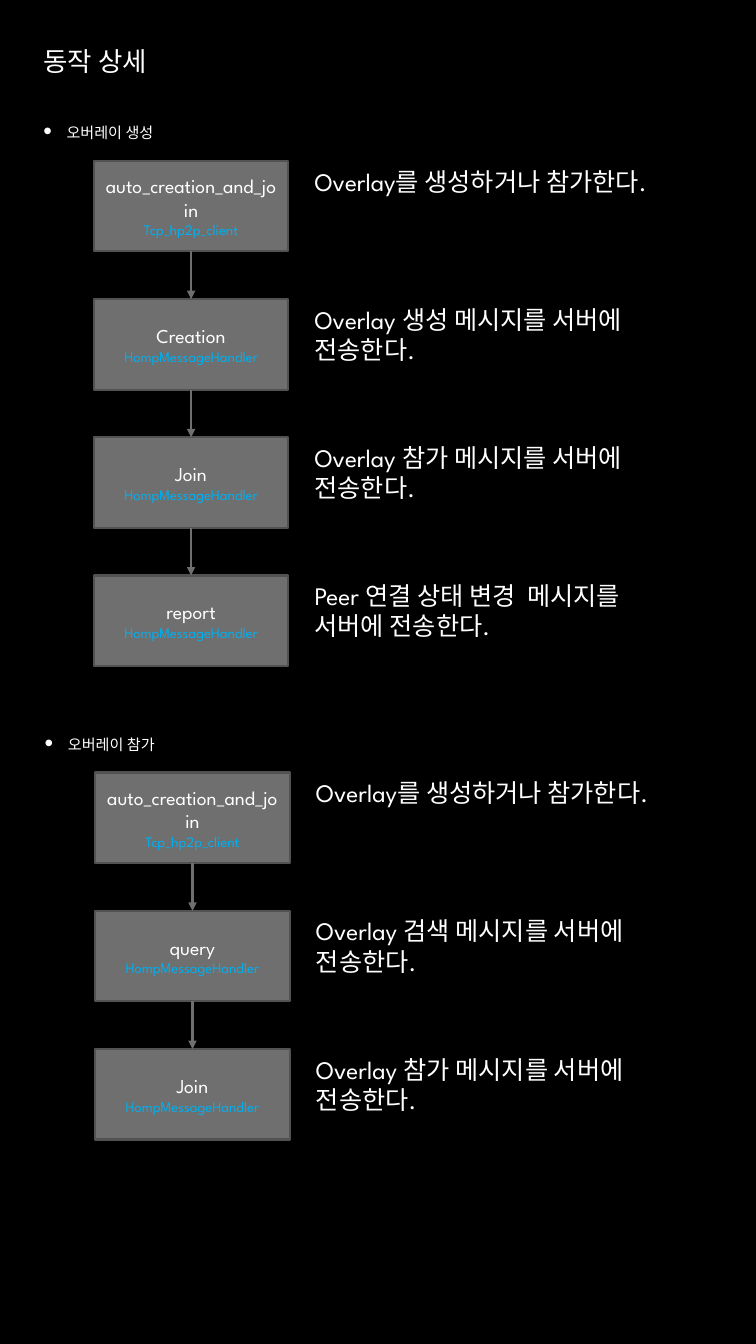
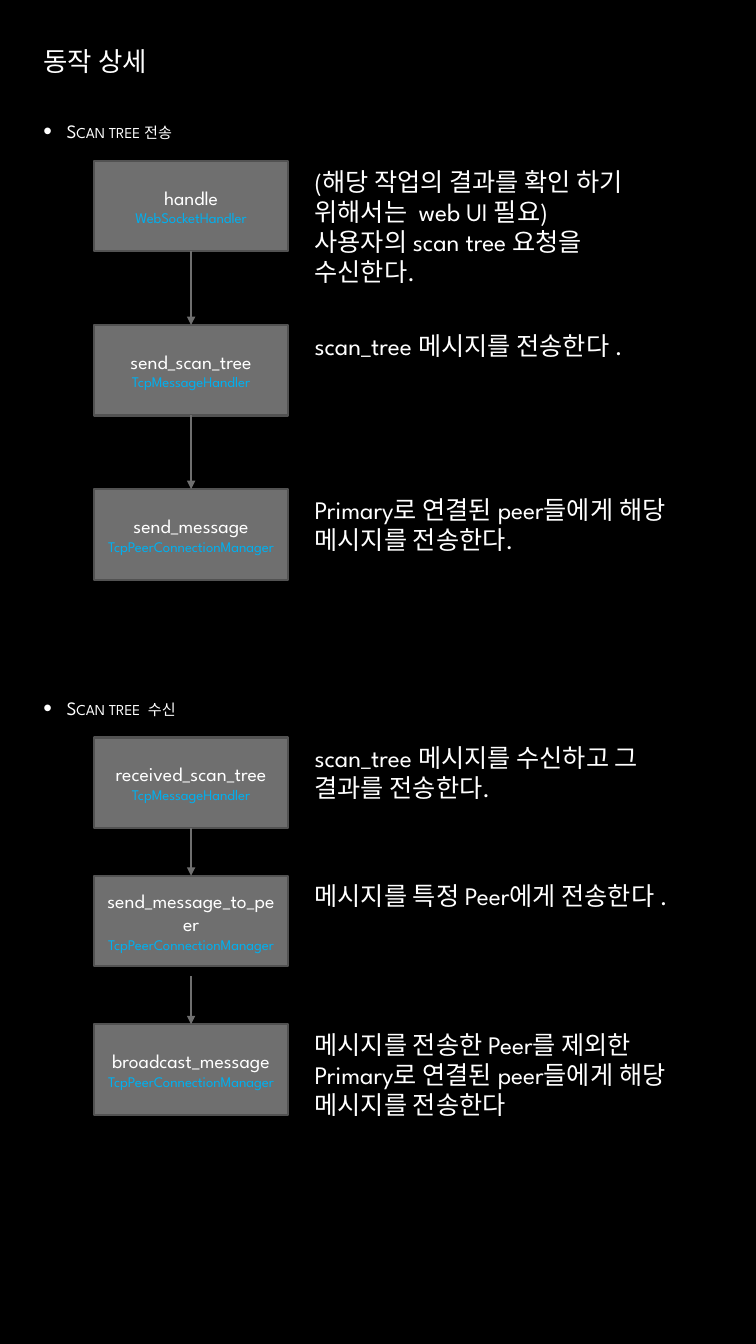
from lxml.etree import SubElement
from pptx import Presentation
from pptx.dml.color import RGBColor
from pptx.enum.shapes import MSO_CONNECTOR, MSO_SHAPE
from pptx.enum.text import MSO_ANCHOR, MSO_AUTO_SIZE, PP_ALIGN
from pptx.oxml.ns import qn
from pptx.util import Pt

# Shared style
COLORS = {
    "background": "000000",
    "text": "FFFFFF",
    "text_fade": "BFBFBF",
    "handler": "00B0F0",
    "box": "6F6F6F",
    "box_line": "525252",
}
LATIN, KOREAN = "League Spartan", "Noto Sans CJK KR"
TITLE = "동작 상세"

# Shared layout, in points
TITLE_LEFT, TITLE_TOP, TITLE_HEIGHT = 23.8, 28.8, 30
TEXT_WIDTH = 494
BOX_INDENT, BOX_WIDTH, BOX_HEIGHT = 43.2, 139, 64.6
NOTE_INDENT, NARROW, WIDE = 193.8, 275, 284.4
NOTE_LINE, NOTE_MARGIN = 21.8, 7.2
FIRST_BOX_DROP = 32.8

# Each slide holds flows: heading, left, top, height, pitch, steps
# Each step: function, handler, note paragraphs, note width, note lines, extra gap above
PAGES = [
    [
        ("오버레이 생성", 23.8, 82.2, 772, 98.7, [
            ("auto_creation_and_join", "Tcp_hp2p_client",
             ["Overlay를 생성하거나 참가한다."], NARROW, 1, 0),
            ("Creation", "HompMessageHandler",
             ["Overlay 생성 메시지를 서버에 전송한다."], WIDE, 2, 0),
            ("Join", "HompMessageHandler",
             ["Overlay 참가 메시지를 서버에 전송한다."], NARROW, 2, 0),
            ("report", "HompMessageHandler",
             ["Peer 연결 상태 변경  메시지를 서버에 전송한다."], NARROW, 2, 0),
        ]),
        ("오버레이 참가", 24.8, 519, 312, 98.8, [
            ("auto_creation_and_join", "Tcp_hp2p_client",
             ["Overlay를 생성하거나 참가한다."], NARROW, 1, 0),
            ("query", "HompMessageHandler",
             ["Overlay 검색 메시지를 서버에 전송한다."], WIDE, 2, 0),
            ("Join", "HompMessageHandler",
             ["Overlay 참가 메시지를 서버에 전송한다."], NARROW, 2, 0),
        ]),
    ],
    [
        ("Scan tree 전송", 23.8, 82.2, 226, 117.2, [
            ("handle", "WebSocketHandler",
             ["(해당 작업의 결과를 확인 하기 위해서는  web UI 필요)",
              "사용자의 scan tree 요청을 수신한다."], NARROW, 4, 0),
            ("send_scan_tree", "TcpMessageHandler",
             ["scan_tree 메시지를 전송한다 ."], WIDE, 1, 0),
            ("send_message", "TcpPeerConnectionManager",
             ["Primary로 연결된 peer들에게 해당 메시지를 전송한다."], WIDE, 2, 0),
        ]),
        ("Scan tree  수신", 23.8, 494, 226, 98.8, [
            ("received_scan_tree", "TcpMessageHandler",
             ["scan_tree 메시지를 수신하고 그 결과를 전송한다."], NARROW, 2, 0),
            ("send_message_to_peer", "TcpPeerConnectionManager",
             ["메시지를 특정 Peer에게 전송한다 ."], WIDE, 2, 0),
            ("broadcast_message", "TcpPeerConnectionManager",
             ["메시지를 전송한 Peer를 제외한 Primary로 연결된 peer들에게 해당 메시지를 전송한다"],
             WIDE, 3, 7.2),
        ]),
    ],
]


def add_span(para, text, size, color="text", latin=LATIN, fade=None):
    span = para.add_run()
    span.text = text
    span.font.size = Pt(size)
    span.font.name = latin
    SubElement(span.font._element, qn("a:ea"), typeface=KOREAN)
    if fade:
        span.font.fill.gradient()
        span.font.fill.gradient_angle = 270
        for stop, name in zip(span.font.fill.gradient_stops, (color, fade)):
            stop.color.rgb = RGBColor.from_string(COLORS[name])
    else:
        span.font.color.rgb = RGBColor.from_string(COLORS[color])
    return span


def add_text_box(page, left, top, width, height):
    box = page.shapes.add_textbox(Pt(left), Pt(top), Pt(width), Pt(height))
    box.text_frame.word_wrap = True
    return box


deck = Presentation()
deck.slide_width, deck.slide_height = Pt(540), Pt(960)
background = deck.slide_master.background.fill
background.solid()
background.fore_color.rgb = RGBColor.from_string(COLORS["background"])

for flows in PAGES:
    page = deck.slides.add_slide(deck.slide_layouts[5])

    # Title
    title = page.shapes.title
    title.left, title.top = Pt(TITLE_LEFT), Pt(TITLE_TOP)
    title.width, title.height = Pt(TEXT_WIDTH), Pt(TITLE_HEIGHT)
    title.text_frame.vertical_anchor = MSO_ANCHOR.MIDDLE
    para = title.text_frame.paragraphs[0]
    para.alignment = PP_ALIGN.LEFT
    add_span(para, TITLE, 18.9, latin=KOREAN, fade="text_fade")

    for heading, left, top, height, pitch, steps in flows:
        # Bulleted heading
        box = add_text_box(page, left, top, TEXT_WIDTH, height)
        para = box.text_frame.paragraphs[0]
        para.space_before, para.space_after = Pt(2.7), Pt(4.5)
        bullet = para._p.get_or_add_pPr()
        bullet.set("marL", str(Pt(16.6)))
        bullet.set("indent", str(-Pt(16.6)))
        bullet_color = SubElement(bullet, qn("a:buClr"))
        SubElement(bullet_color, qn("a:srgbClr"), val=COLORS["text"])
        SubElement(bullet, qn("a:buSzPct"), val="130000")
        SubElement(bullet, qn("a:buFont"), typeface="Arial")
        SubElement(bullet, qn("a:buChar"), char="•")
        span = add_span(para, heading, 13.5, fade="text_fade")
        span.font._element.set("cap", "small")

        step_top = top + FIRST_BOX_DROP
        previous = None
        for function, handler, notes, note_width, note_lines, gap in steps:
            step_top += gap

            # Step box
            step = page.shapes.add_shape(
                MSO_SHAPE.RECTANGLE, Pt(left + BOX_INDENT), Pt(step_top),
                Pt(BOX_WIDTH), Pt(BOX_HEIGHT))
            step.shadow.inherit = False
            step.fill.solid()
            step.fill.fore_color.rgb = RGBColor.from_string(COLORS["box"])
            step.line.color.rgb = RGBColor.from_string(COLORS["box_line"])
            step.line.width = Pt(1.5)
            frame = step.text_frame
            frame.word_wrap = True
            frame.vertical_anchor = MSO_ANCHOR.MIDDLE
            name_para, handler_para = frame.paragraphs[0], frame.add_paragraph()
            name_para.alignment = handler_para.alignment = PP_ALIGN.CENTER
            add_span(name_para, function, 14)
            add_span(handler_para, handler, 10.5, "handler")

            # Note beside the box
            note = add_text_box(page, left + NOTE_INDENT, step_top, note_width,
                                note_lines * NOTE_LINE + NOTE_MARGIN)
            note.text_frame.auto_size = MSO_AUTO_SIZE.SHAPE_TO_FIT_TEXT
            for index, text in enumerate(notes):
                para = note.text_frame.add_paragraph() if index else note.text_frame.paragraphs[0]
                add_span(para, text, 18)
            page.shapes.add_group_shape([step, note])

            # Arrow from the step above; an extra gap leaves its start free
            if previous is not None:
                center = Pt(left + BOX_INDENT + BOX_WIDTH / 2)
                arrow = page.shapes.add_connector(
                    MSO_CONNECTOR.STRAIGHT, center,
                    Pt(step_top - pitch + BOX_HEIGHT), center, Pt(step_top))
                if not gap:
                    arrow.begin_connect(previous, 2)
                arrow.end_connect(step, 0)
                arrow.line.color.rgb = RGBColor.from_string(COLORS["box"])
                arrow.line.width = Pt(2)
                properties = arrow._element.spPr
                SubElement(properties.find(qn("a:ln")), qn("a:tailEnd"), type="triangle")
                SubElement(properties, qn("a:effectLst"))
            previous = step
            step_top += pitch

deck.save("out.pptx")
